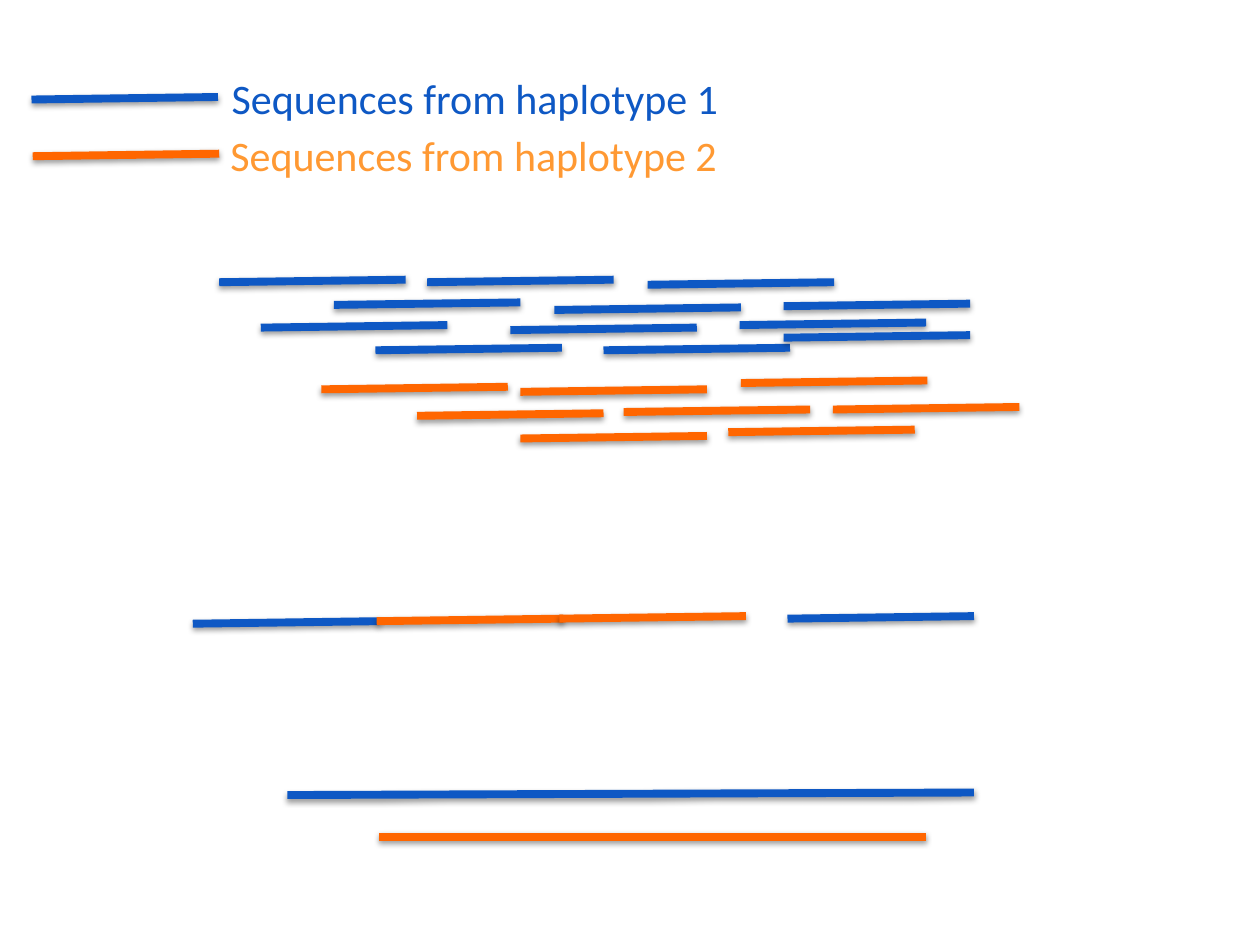
import lxml.etree
import pptx
import pptx.dml.color
import pptx.enum.shapes
import pptx.enum.text
import pptx.oxml.ns
import pptx.util

Inches = pptx.util.Inches
BLUE, ORANGE, AMBER = "0E58C4", "FF6600", "FF9933"
SPAN, RISE = 1.48, 0.02

READS = {
    BLUE: [(2.07, 2.6), (2.65, 2.42), (2.98, 2.78), (3.39, 2.24),
           (4.05, 2.62), (4.4, 2.46), (4.79, 2.78), (5.14, 2.26),
           (1.74, 2.24), (5.87, 2.58), (6.22, 2.43), (6.22, 2.68)],
    ORANGE: [(2.55, 3.09), (3.31, 3.3), (4.13, 3.11), (4.95, 3.27),
             (5.78, 3.43), (5.88, 3.04), (6.61, 3.25), (4.13, 3.48)],
}
MIXED = [(1.53, 4.95, BLUE), (2.99, 4.93, ORANGE),
         (4.44, 4.91, ORANGE), (6.25, 4.91, BLUE)]
LEGEND = [("Sequences from haplotype 1", 0.25, 0.79, BLUE, 1.74, 0.53, BLUE),
          ("Sequences from haplotype 2", 0.26, 1.24, ORANGE, 1.73, 0.98, AMBER)]


def color(code):
    """Turn a hex string into a colour."""
    return pptx.dml.color.RGBColor.from_string(code)


def child(node, tag, **attrs):
    """Append a drawing element to a node."""
    return lxml.etree.SubElement(node, pptx.oxml.ns.qn(tag), **attrs)


def shade(line):
    """Give a line a soft shadow below it."""
    effects = child(line._element.spPr, "a:effectLst")
    outer = child(effects, "a:outerShdw", blurRad="40000", dist="20000",
                  dir="5400000", rotWithShape="0")
    black = child(outer, "a:srgbClr", val="000000")
    child(black, "a:alpha", val="38000")


def strand(shapes, left, top, code, span=SPAN, rise=RISE):
    """Draw one sequence as a thick line that rises slightly."""
    line = shapes.add_connector(
        pptx.enum.shapes.MSO_CONNECTOR.STRAIGHT, Inches(left), Inches(top),
        Inches(left + span), Inches(top - rise))
    line.line.color.rgb = color(code)
    line.line.width = pptx.util.Pt(4.5)
    shade(line)


def label(shapes, text, left, top, code, size=24, font="Calibri"):
    """Write one line of text."""
    box = shapes.add_textbox(Inches(left), Inches(top), Inches(4.11), Inches(0.5))
    frame = box.text_frame
    frame.word_wrap = False
    frame.auto_size = pptx.enum.text.MSO_AUTO_SIZE.SHAPE_TO_FIT_TEXT
    run = frame.paragraphs[0].add_run()
    run.text = text
    run.font.size = pptx.util.Pt(size)
    run.font.name = font
    run.font.color.rgb = color(code)


def main():
    """Build the slide."""
    deck = pptx.Presentation()
    deck.slide_width, deck.slide_height = Inches(10), Inches(7.5)
    shapes = deck.slides.add_slide(deck.slide_layouts[6]).shapes

    reads = shapes.add_group_shape().shapes
    for code, spots in READS.items():
        for left, top in spots:
            strand(reads, left, top, code)

    for text, left, top, code, text_left, text_top, ink in LEGEND:
        strand(shapes, left, top, code)
        label(shapes, text, text_left, text_top, ink)

    mixed = shapes.add_group_shape().shapes
    for left, top, code in MIXED:
        strand(mixed, left, top, code)

    phased = shapes.add_group_shape().shapes
    strand(phased, 2.28, 6.31, BLUE, span=5.45)
    strand(phased, 3.01, 6.64, ORANGE, span=4.34, rise=0)

    deck.save("out.pptx")


if __name__ == "__main__":
    main()
